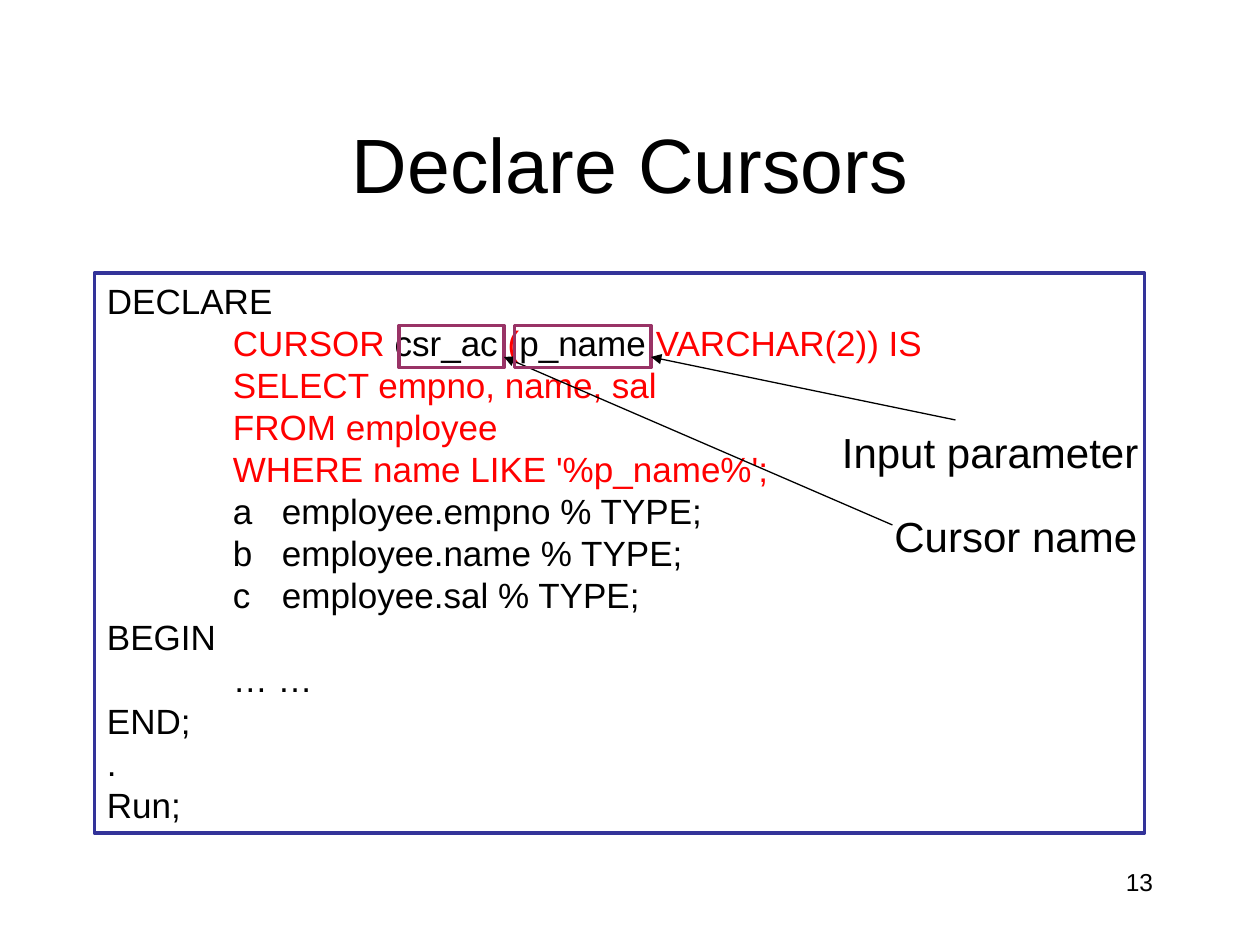
from lxml import etree
from pptx import Presentation
from pptx.dml.color import RGBColor
from pptx.enum import shapes, text
from pptx.oxml.ns import qn
from pptx.util import Pt

COLORS = {"ink": "000000", "query": "FF0000", "paper": "FFFFFF", "frame": "333399", "mark": "993366"}


def style(run, size, color="ink"):
    run.font.name = "Arial"
    run.font.size = Pt(size)
    run.font.color.rgb = RGBColor.from_string(COLORS[color])


def outlined_box(left, top, width, height, color, weight):
    box = slide.shapes.add_shape(shapes.MSO_SHAPE.RECTANGLE, Pt(left), Pt(top), Pt(width), Pt(height))
    box.shadow.inherit = False
    box.fill.background()
    box.line.color.rgb = RGBColor.from_string(COLORS[color])
    box.line.width = Pt(weight)
    return box


deck = Presentation()
deck.slide_width, deck.slide_height = Pt(720), Pt(540)
slide = deck.slides.add_slide(deck.slide_layouts[5])

title = slide.shapes.title
title.left, title.top, title.width, title.height = Pt(54), Pt(48), Pt(612), Pt(90)
title.text_frame.text = "Declare Cursors"
title.text_frame.vertical_anchor = text.MSO_ANCHOR.MIDDLE
title.text_frame.paragraphs[0].alignment = text.PP_ALIGN.CENTER
style(title.text_frame.paragraphs[0].runs[0], 44)

code_lines = [
    [("DECLARE", "ink")],
    [("\tCURSOR ", "query"), ("csr_ac", "ink"), (" (", "query"), ("p_name", "ink"), (" VARCHAR(2)) IS", "query")],
    [("\tSELECT empno, name, sal", "query")],
    [("\tFROM employee", "query")],
    [("\tWHERE name LIKE '%p_name%';", "query")],
    [("\ta\temployee.empno % TYPE;", "ink")],
    [("\tb\temployee.name % TYPE;", "ink")],
    [("\tc\temployee.sal % TYPE;", "ink")],
    [("BEGIN", "ink")],
    [("\t… …", "ink")],
    [("END;", "ink")],
    [(".", "ink")],
    [("Run;", "ink")],
]
code = outlined_box(54, 156, 600, 320, "frame", 2.25)
code.fill.solid()
code.fill.fore_color.rgb = RGBColor.from_string(COLORS["paper"])
code.text_frame.vertical_anchor = text.MSO_ANCHOR.TOP
for index, pieces in enumerate(code_lines):
    line = code.text_frame.add_paragraph() if index else code.text_frame.paragraphs[0]
    line.alignment = text.PP_ALIGN.LEFT
    line.line_spacing = Pt(24)
    tab_stops = etree.SubElement(line._p.get_or_add_pPr(), qn("a:tabLst"))
    for stop in (72, 100):
        etree.SubElement(tab_stops, qn("a:tab"), pos=str(Pt(stop)), algn="l")
    for words, color in pieces:
        run = line.add_run()
        run.text = words
        style(run, 20, color)

callouts = [
    ((228, 186, 60, 24), (510, 300), (288, 204)),
    ((294, 186, 78, 24), (546, 240), (372, 204)),
]
for mark, start, end in callouts:
    outlined_box(*mark, "mark", 2)
    arrow = slide.shapes.add_connector(shapes.MSO_CONNECTOR.STRAIGHT, *map(Pt, start + end))
    arrow.line.color.rgb = RGBColor.from_string(COLORS["ink"])
    arrow.line.width = Pt(0.75)
    etree.SubElement(arrow.line._get_or_add_ln(), qn("a:tailEnd"), type="triangle")
    etree.SubElement(arrow._element.spPr, qn("a:effectLst"))

labels = [
    ("Cursor name", (504, 288, 156, 36), 24, 15, text.PP_ALIGN.LEFT),
    ("Input parameter", (474, 240, 192, 36), 24, 15, text.PP_ALIGN.LEFT),
    ("13", (516, 492, 150, 36), 14, 0, text.PP_ALIGN.RIGHT),
]
for words, place, size, space_before, alignment in labels:
    label = slide.shapes.add_textbox(*map(Pt, place))
    label.text_frame.word_wrap = True
    label.text_frame.text = words
    line = label.text_frame.paragraphs[0]
    line.alignment = alignment
    line.space_before = Pt(space_before)
    style(line.runs[0], size)

deck.save("out.pptx")
